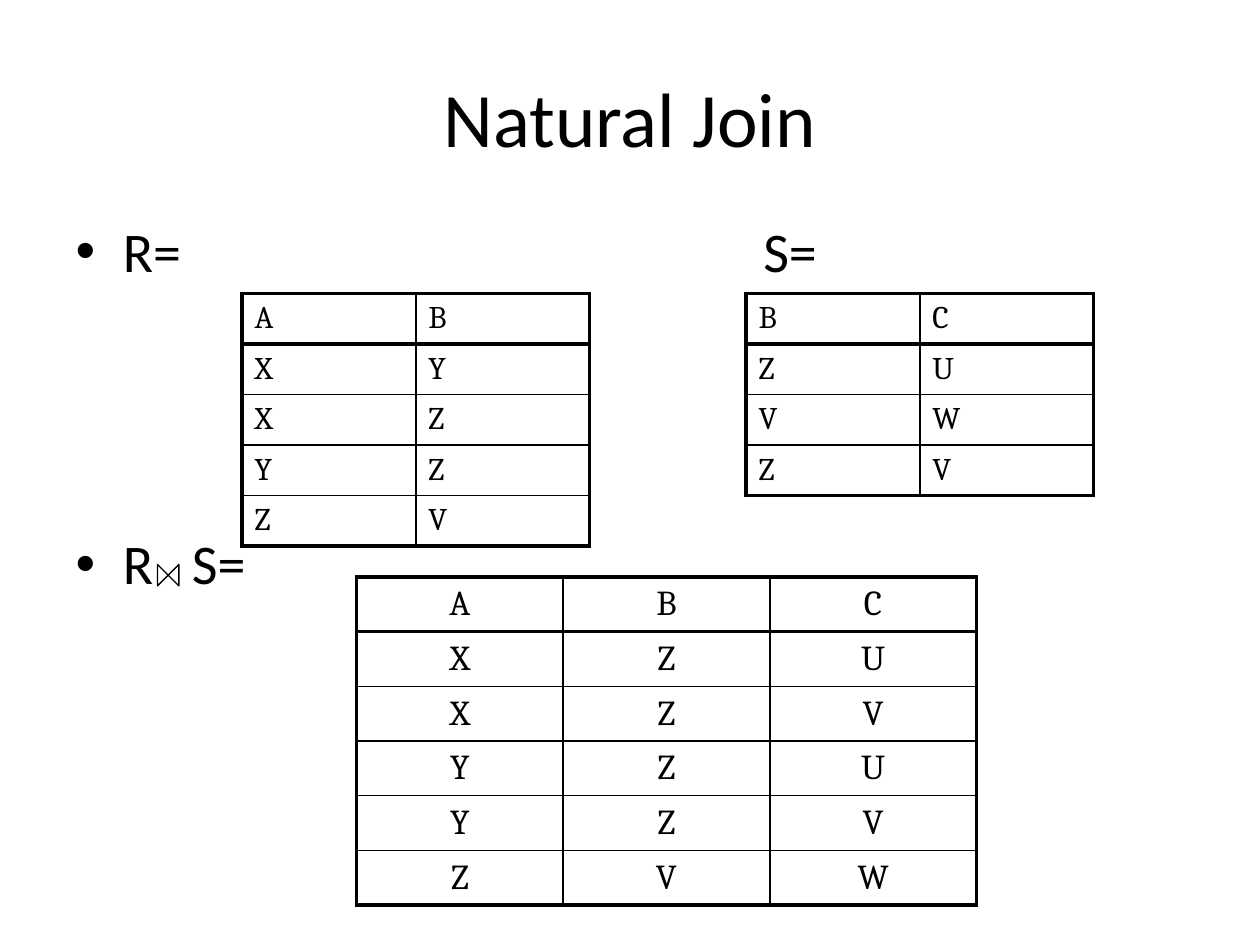
from lxml import etree
from pptx import Presentation
from pptx import util as u
from pptx.dml.color import RGBColor
from pptx.enum import shapes, text
from pptx.oxml.ns import qn

BLACK = "000000"
THICK, THIN = 2.25, 1

R_ROWS = ["AB", "XY", "XZ", "YZ", "ZV"]
S_ROWS = ["BC", "ZU", "VW", "ZV"]
JOIN_ROWS = ["ABC", "XZU", "XZV", "YZU", "YZV", "ZVW"]


def color(value):
    return RGBColor.from_string(value)


def place(sp, left, top, width, height):
    sp.left, sp.top = u.Inches(left), u.Inches(top)
    sp.width, sp.height = u.Inches(width), u.Inches(height)


def style(p, size, font="Calibri"):
    for r in p.runs:
        r.font.size = u.Pt(size)
        r.font.name = font
        r.font.color.rgb = color(BLACK)


def set_borders(cell, widths):
    """Add the border lines, in schema order, ahead of the cell's fill."""
    tc_pr = cell._tc.get_or_add_tcPr()
    for i, (side, width) in enumerate(widths.items()):
        ln = etree.Element(qn(f"a:ln{side}"), w=str(u.Pt(width)))
        fill = etree.SubElement(ln, qn("a:solidFill"))
        etree.SubElement(fill, qn("a:srgbClr"), val=BLACK)
        tc_pr.insert(i, ln)


def add_relation(s, rows, left, top, col_width, row_height, size, align):
    """Table with a thick frame and a thick rule under its header."""
    n_rows, n_cols = len(rows), len(rows[0])
    frame = s.shapes.add_table(
        n_rows, n_cols, u.Inches(left), u.Inches(top),
        u.Inches(col_width * n_cols), u.Inches(row_height * n_rows))
    table = frame.table
    table.first_row = table.horz_banding = False
    for i, row in enumerate(rows):
        for j, value in enumerate(row):
            cell = table.cell(i, j)
            cell.fill.background()
            cell.vertical_anchor = text.MSO_ANCHOR.MIDDLE
            cell.text_frame.text = value
            p = cell.text_frame.paragraphs[0]
            p.alignment = align
            style(p, size, "Cambria")
            set_borders(cell, {
                "L": THICK if j == 0 else THIN,
                "R": THICK if j == n_cols - 1 else THIN,
                "T": THICK if i in (0, 1) else THIN,
                "B": THICK if i in (0, n_rows - 1) else THIN,
            })


def add_title(s):
    title = s.shapes.title
    place(title, 0.5, 0.3, 9, 1.25)
    title.text_frame.text = "Natural Join"
    style(title.text_frame.paragraphs[0], 44)


def add_body(s):
    body = s.placeholders[1]
    place(body, 0.5, 1.67, 9, 5.67)
    tf = body.text_frame
    tf.text = "R="
    tf.paragraphs[0].space_before = u.Pt(0)
    p = tf.add_paragraph()
    p.space_before = u.Pt(140)
    for part in ("R", "S="):
        p.add_run().text = part
    # Letter spacing after R leaves room for the join symbol
    p.runs[0].font._element.set("spc", "2200")
    for p in tf.paragraphs:
        style(p, 32)


def add_label(s, label, left, top):
    sp = s.shapes.add_textbox(u.Inches(left), u.Inches(top),
                              u.Inches(1), u.Inches(0.65))
    tf = sp.text_frame
    tf.word_wrap = True
    tf.text = label
    style(tf.paragraphs[0], 32)


def add_join_symbol(s, left, top, size):
    sp = s.shapes.add_shape(shapes.MSO_SHAPE.FLOWCHART_COLLATE,
                            u.Inches(left), u.Inches(top),
                            u.Inches(size), u.Inches(size))
    sp.rotation = 270
    sp.shadow.inherit = False
    sp.fill.background()
    sp.line.color.rgb = color(BLACK)
    sp.line.width = u.Pt(0.75)


def main():
    prs = Presentation()
    prs.slide_width, prs.slide_height = u.Inches(10), u.Inches(7.5)
    s = prs.slides.add_slide(prs.slide_layouts[1])

    # Title and relation names
    add_title(s)
    add_body(s)
    add_label(s, "S=", 5.96, 1.67)

    # Input relations and their natural join
    left, center = text.PP_ALIGN.LEFT, text.PP_ALIGN.CENTER
    add_relation(s, R_ROWS, 1.92, 2.33, 1.38, 0.39, 18, left)
    add_relation(s, S_ROWS, 5.92, 2.33, 1.38, 0.4, 18, left)
    add_relation(s, JOIN_ROWS, 2.83, 4.58, 1.64, 0.43, 20, center)
    add_join_symbol(s, 1.25, 4.48, 0.17)

    prs.save("out.pptx")


if __name__ == "__main__":
    main()
